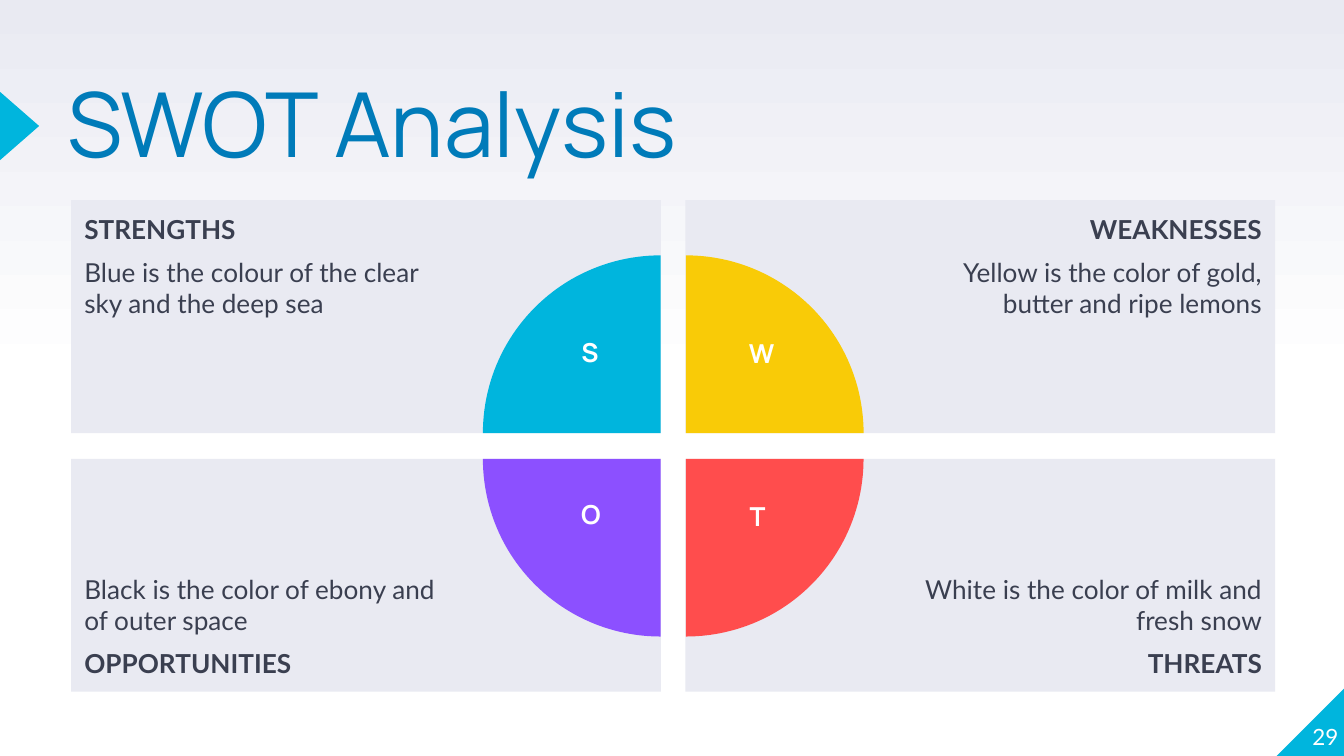
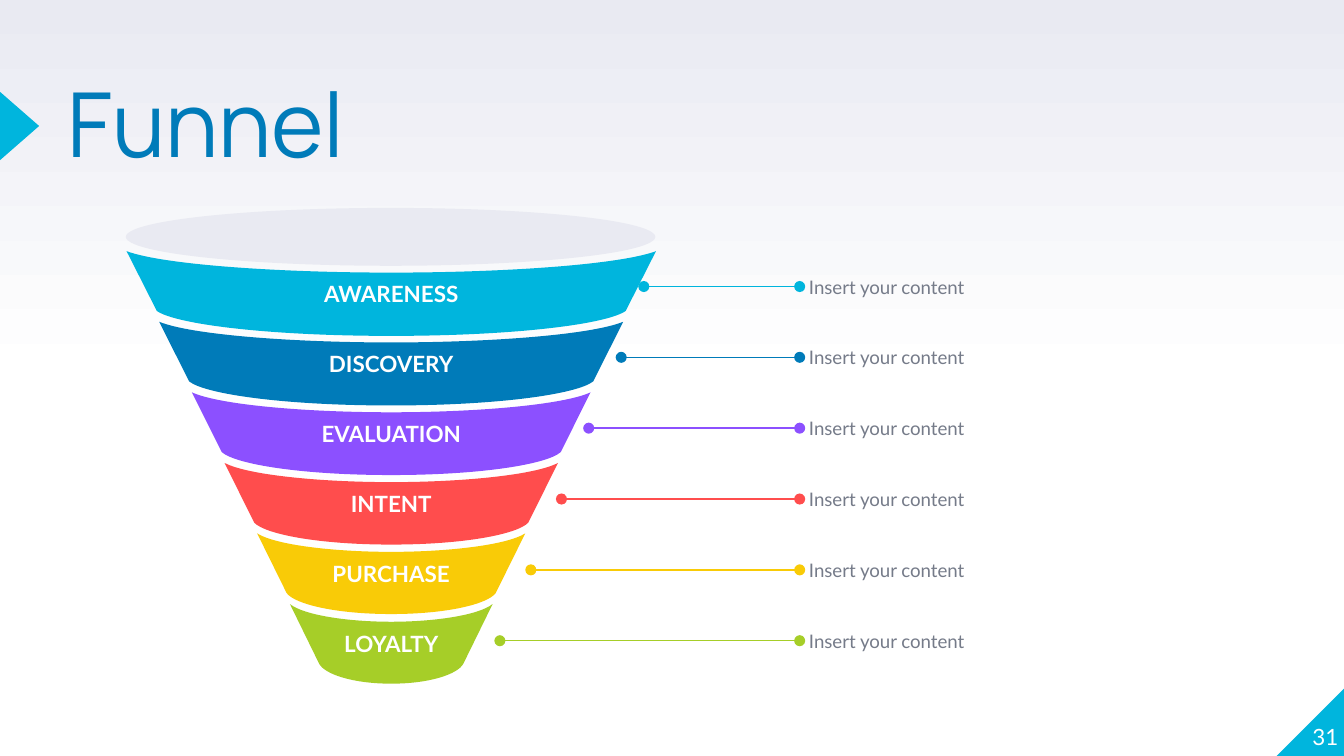
import copy
from typing import NamedTuple

import pptx
import pptx.dml.color
import pptx.enum.shapes
import pptx.enum.text
import pptx.oxml
import pptx.oxml.ns
import pptx.util
from pptx.util import Pt

SHAPE = pptx.enum.shapes.MSO_SHAPE
ALIGN = pptx.enum.text.PP_ALIGN
ANCHOR = pptx.enum.text.MSO_ANCHOR

# Palette and fonts
CYAN, BLUE, PURPLE = "00B5DD", "007BB9", "8C50FF"
RED, YELLOW, GREEN = "FF4D4D", "F9CB07", "A6CE28"
WHITE, PALE, DARK, GREY = "FFFFFF", "E9EAF2", "3A3F50", "757B89"
HEADING_FONT, BODY_FONT = "Manrope", "Lato"


class Box(NamedTuple):
    left: float
    top: float
    width: float
    height: float


class Style(NamedTuple):
    size: float
    color: str
    font: str = BODY_FONT
    bold: bool = False
    align: ALIGN = ALIGN.LEFT
    anchor: ANCHOR = ANCHOR.TOP
    margins: tuple[float, float, float, float] = (0, 0, 0, 0)
    line_spacing: float | None = None


class Quadrant(NamedTuple):
    letter: str
    heading: str
    body: str
    color: str
    column: int
    row: int
    rotation: int
    letter_box: Box


class Stage(NamedTuple):
    label: str
    color: str
    line_start: float


TITLE_STYLE = Style(48, BLUE, HEADING_FONT, line_spacing=0.8)
NUMBER_STYLE = Style(12, WHITE, align=ALIGN.RIGHT, anchor=ANCHOR.BOTTOM)
LETTER_STYLE = Style(14, WHITE, HEADING_FONT, True, ALIGN.CENTER, margins=(7.2, 3.6, 7.2, 3.6))
STAGE_STYLE = Style(12, WHITE, bold=True, align=ALIGN.CENTER, anchor=ANCHOR.MIDDLE,
                    margins=(5, 3, 5, 3))
CONTENT_STYLE = Style(10, GREY, anchor=ANCHOR.MIDDLE)

QUADRANTS = [
    Quadrant("S", "STRENGTHS", "Blue is the colour of the clear sky and the deep sea",
             CYAN, 0, 0, 0, Box(302.4, 176.4, 27.4, 35)),
    Quadrant("W", "WEAKNESSES", "Yellow is the color of gold, butter and ripe lemons",
             YELLOW, 1, 0, 90, Box(382.6, 177, 51, 35)),
    Quadrant("T", "THREATS", "White is the color of milk and fresh snow",
             RED, 1, 1, 180, Box(391.5, 264.3, 28.8, 35)),
    Quadrant("O", "OPPORTUNITIES", "Black is the color of ebony and of outer space",
             PURPLE, 0, 1, 270, Box(299.7, 263.5, 33.8, 35)),
]

STAGES = [
    Stage("AWARENESS", CYAN, 344.9),
    Stage("DISCOVERY", BLUE, 332.8),
    Stage("EVALUATION", PURPLE, 315.4),
    Stage("INTENT", RED, 300.8),
    Stage("PURCHASE", YELLOW, 284.4),
    Stage("LOYALTY", GREEN, 267.8),
]


def rgb(color: str) -> pptx.dml.color.RGBColor:
    return pptx.dml.color.RGBColor.from_string(color)


def lengths(box: Box) -> list[int]:
    return [Pt(value) for value in box]


def write_text(shape, lines: list[str], style: Style, bold_line: int | None = None) -> None:
    """Fill a shape with paragraphs; bold_line makes just one of them bold."""
    frame = shape.text_frame
    frame.word_wrap = True
    frame.vertical_anchor = style.anchor
    (frame.margin_left, frame.margin_top,
     frame.margin_right, frame.margin_bottom) = [Pt(value) for value in style.margins]
    frame.text = "\n".join(lines)
    for index, paragraph in enumerate(frame.paragraphs):
        paragraph.alignment = style.align
        paragraph.line_spacing = style.line_spacing
        if index:
            paragraph.space_before = paragraph.space_after = Pt(6)
        for run in paragraph.runs:
            run.font.name = style.font
            run.font.size = Pt(style.size)
            run.font.bold = style.bold or index == bold_line
            run.font.color.rgb = rgb(style.color)


def add_text(slide, box: Box, text: str, style: Style) -> None:
    write_text(slide.shapes.add_textbox(*lengths(box)), [text], style)


def paint(shape, color: str) -> None:
    shape.shadow.inherit = False
    shape.fill.solid()
    shape.fill.fore_color.rgb = rgb(color)
    shape.line.fill.background()


def add_shape(parent, kind: SHAPE, box: Box, color: str, rotation: float = 0):
    """Add a plain preset shape to a slide or a group."""
    shape = parent.shapes.add_shape(kind, *lengths(box))
    shape.rotation = rotation
    paint(shape, color)
    return shape


def add_dotted_line(slide, left: float, right: float, y: float, color: str) -> None:
    """Draw a horizontal line with a round dot at each end."""
    line = slide.shapes.add_connector(
        pptx.enum.shapes.MSO_CONNECTOR.STRAIGHT, Pt(left), Pt(y), Pt(right), Pt(y))
    line.line.color.rgb = rgb(color)
    line.line.width = Pt(0.75)
    outline = line.line._get_or_add_ln()
    for end in ("a:headEnd", "a:tailEnd"):
        outline.append(pptx.oxml.parse_xml(
            f'<{end} {pptx.oxml.ns.nsdecls("a")} type="oval"/>'))
    line._element.spPr.append(
        pptx.oxml.parse_xml(f'<a:effectLst {pptx.oxml.ns.nsdecls("a")}/>'))


def add_background(slide) -> None:
    fill = slide.background.fill
    fill.gradient()
    fill.gradient_angle = 90
    stop_list = slide._element.find(".//" + pptx.oxml.ns.qn("a:gsLst"))
    stop_list.insert(0, copy.deepcopy(stop_list[0]))
    stops = [(0, WHITE), (0.5, WHITE), (1, PALE)]
    for stop, (position, color) in zip(fill.gradient_stops, stops):
        stop.position = position
        stop.color.rgb = rgb(color)


def add_base_slide(presentation, title: str, number: int):
    """Add a slide with the shared background, marker, corner, title and number."""
    slide = presentation.slides.add_slide(presentation.slide_layouts[6])
    add_background(slide)
    corner = add_shape(slide, SHAPE.RIGHT_TRIANGLE, Box(684, 368.6, 36.4, 36.4), CYAN)
    corner._element.spPr.xfrm.set("flipH", "1")
    add_shape(slide, SHAPE.ISOSCELES_TRIANGLE, Box(-7.9, 57, 36.7, 21), CYAN, 90)
    add_text(slide, Box(36, 47.5, 444, 85), title, TITLE_STYLE)
    add_text(slide, Box(681, 365, 36, 36.7), str(number), NUMBER_STYLE)
    return slide


def add_swot_panel(slide, quadrant: Quadrant) -> None:
    at_right, at_bottom = quadrant.column == 1, quadrant.row == 1
    box = Box(38.1 + 329.1 * quadrant.column, 107.2 + 138.6 * quadrant.row, 316, 124.8)
    panel = add_shape(slide, SHAPE.RECTANGLE, box, PALE)
    style = Style(
        14, DARK,
        align=ALIGN.RIGHT if at_right else ALIGN.LEFT,
        anchor=ANCHOR.BOTTOM if at_bottom else ANCHOR.TOP,
        margins=(108, 7.2, 7.2, 7.2) if at_right else (7.2, 7.2, 108, 7.2))
    lines = [quadrant.heading, quadrant.body]
    if at_bottom:
        lines.reverse()
    write_text(panel, lines, style, bold_line=quadrant.row)


def build_swot(presentation) -> None:
    slide = add_base_slide(presentation, "SWOT Analysis", 29)
    for quadrant in QUADRANTS:
        add_swot_panel(slide, quadrant)
    # Quarter circles around the centre
    for quadrant in QUADRANTS:
        box = Box(258.7 + 13.5 * quadrant.column, 136.8 + 13.8 * quadrant.row, 190.4, 190.4)
        pie = add_shape(slide, SHAPE.PIE, box, quadrant.color, quadrant.rotation)
        pie.adjustments[0], pie.adjustments[1] = 108, 162
    for quadrant in QUADRANTS:
        add_text(slide, quadrant.letter_box, quadrant.letter, LETTER_STYLE)


def bowl_curve(half_width: float, top: float, depth: float,
               controls: list[tuple[float, float]]) -> list[tuple[float, float]]:
    """Give the points of two mirrored Bezier curves, from left edge to right edge."""
    half = [(-half_width * x, top + depth * y) for x, y in [(1, 0), *controls, (0, 1)]]
    return half + [(-x, y) for x, y in reversed(half[:-1])]


def curve_segments(shape, starts: list[int]) -> None:
    """Turn each run of three line segments, given by its first index, into a Bezier."""
    segments = list(shape._element.iter(pptx.oxml.ns.qn("a:lnTo")))
    for start in starts:
        curve = pptx.oxml.parse_xml(f'<a:cubicBezTo {pptx.oxml.ns.nsdecls("a")}/>')
        segments[start].addprevious(curve)
        for segment in segments[start:start + 3]:
            curve.append(segment[0])
            segment.getparent().remove(segment)


def add_funnel_slice(funnel, index: int, stage: Stage) -> None:
    center, top = 209.6, 134.6 + 37.8 * index
    upper = bowl_curve(141.8 - 17.5 * index, top, 11.5 - 0.4 * index,
                       [(0.86, 0.64), (0.42, 1)])
    lower = bowl_curve(125.6 - 17.4 * index, top + 32, 13.4 - 0.55 * index,
                       [(0.92, 0.53), (0.53, 1)])
    outline = [(Pt(center + x), Pt(y)) for x, y in upper[:1] + lower + upper[::-1]]
    builder = funnel.shapes.build_freeform(*outline[0], scale=1.0)
    builder.add_line_segments(outline[1:], close=True)
    shape = builder.convert_to_shape()
    curve_segments(shape, [1, 4, 8, 11])
    paint(shape, stage.color)
    write_text(shape, [stage.label], STAGE_STYLE)


def build_funnel(presentation) -> None:
    slide = add_base_slide(presentation, "Funnel", 31)
    # Slices and mouth of the funnel
    funnel = slide.shapes.add_group_shape()
    for index, stage in enumerate(STAGES):
        add_funnel_slice(funnel, index, stage)
    add_shape(funnel, SHAPE.OVAL, Box(67.4, 111.4, 283.7, 31), PALE)
    # Callouts
    for index, stage in enumerate(STAGES):
        y = 153.5 + 37.95 * index
        add_dotted_line(slide, stage.line_start, 428.4, y, stage.color)
        add_text(slide, Box(433.4, y - 13.7, 219.6, 27.4), "Insert your content", CONTENT_STYLE)


def main() -> None:
    presentation = pptx.Presentation()
    presentation.slide_width, presentation.slide_height = Pt(720), Pt(405)
    build_swot(presentation)
    build_funnel(presentation)
    presentation.save("out.pptx")


if __name__ == "__main__":
    main()
